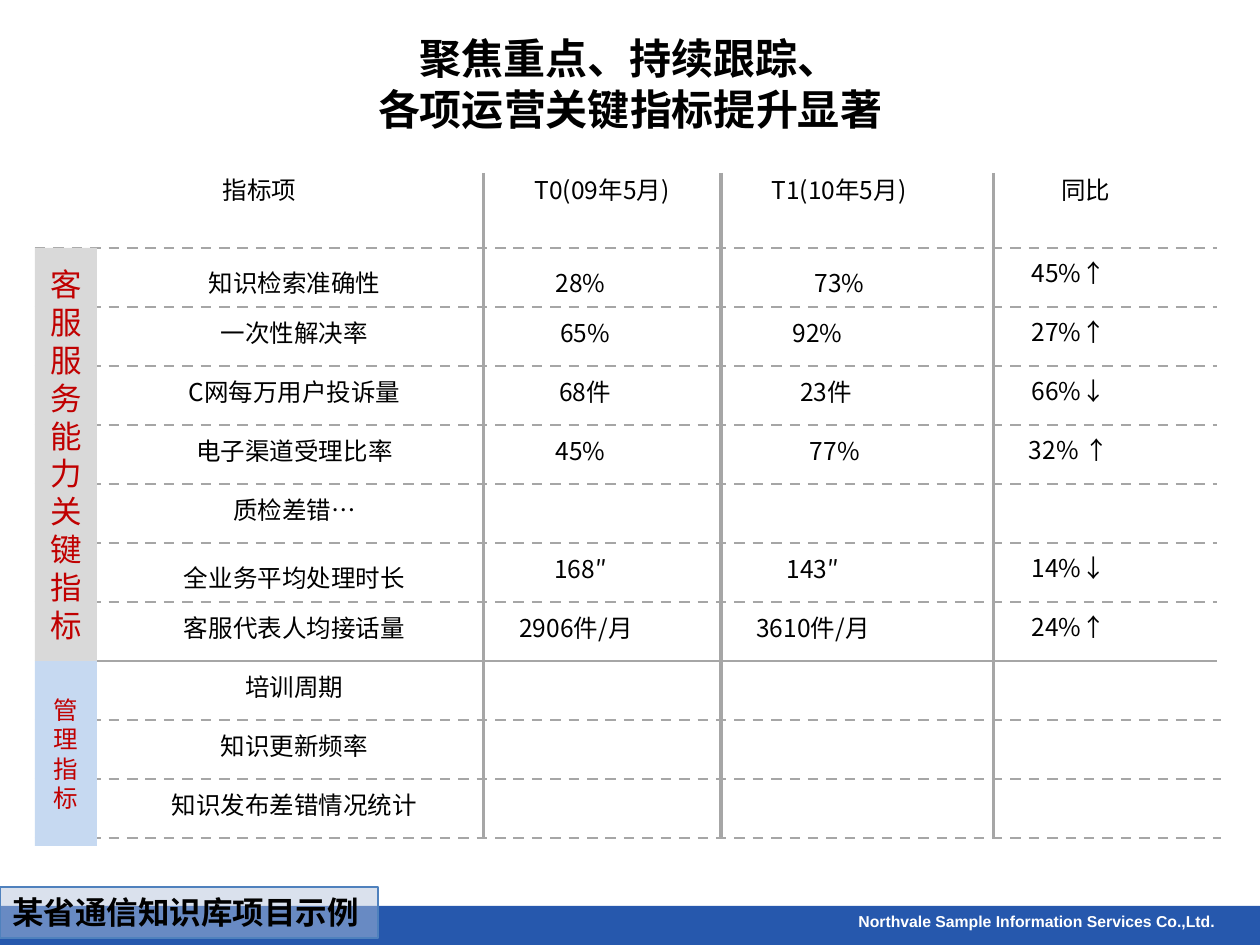
from lxml import etree
from pptx import Presentation
from pptx.dml.color import RGBColor
from pptx.enum.dml import MSO_LINE
from pptx.enum.shapes import MSO_CONNECTOR, MSO_SHAPE
from pptx.enum.text import MSO_ANCHOR, PP_ALIGN
from pptx.oxml.ns import qn
from pptx.util import Emu, Pt

PX = 914400 / 126
THEME = dict(font="Noto Sans CJK SC", footer_font="Arial",
             ink="000000", accent="C00000", rule="A6A6A6", white="FFFFFF",
             service="D9D9D9", manage="C6D9F1", footer="2658AD",
             tag="B2C1DB", tag_line="4F81BD",
             title=24, large=18, body=14, small=9)

# Content
TITLE = "聚焦重点、持续跟踪、\v各项运营关键指标提升显著"
FOOTER = "Northvale Sample Information Services Co.,Ltd."
TAG = "某省通信知识库项目示例"
HEADERS = [("指标项", 106, 307), ("T0(09年5月)", 501, 202),
           ("T1(10年5月)", 738, 202), ("同比", 985, 202)]  # text, left, width
# label, (T0, width), (T1, width), change
ROWS = [
    ("知识检索准确性", ("28%", 193), ("73%", 237), "45%↑"),
    ("一次性解决率", ("65%", 202), ("92%", 193), "27%↑"),
    ("C网每万用户投诉量", ("68件", 202), ("23件", 210), "66%↓"),
    ("电子渠道受理比率", ("45%", 193), ("77%", 228), "32% ↑"),
    ("质检差错…", None, None, None),
    ("全业务平均处理时长", ("168″", 193), ("143″", 184), "14%↓"),
    ("客服代表人均接话量", ("2906件/月", 184), ("3610件/月", 184), "24%↑"),
    ("培训周期", None, None, None),
    ("知识更新频率", None, None, None),
    ("知识发布差错情况统计", None, None, None),
]
SERVICE_ROWS = 7
LOOSE_ROW = 5  # label set with wider line spacing

# Grid
LEFT, RIGHT, HEAD, TOP, STEP = 35, 1217, 173, 248, 59
COLUMNS = [484, 721, 994]
BOTTOM = TOP + STEP * len(ROWS)
SPLIT = TOP + STEP * SERVICE_ROWS


def px(*values):
    return [Emu(round(v * PX)) for v in values]


def rgb(name):
    return RGBColor.from_string(THEME[name])


def write(s, text, size, color="ink", align=PP_ALIGN.CENTER, bold=False,
          font="font", anchor=MSO_ANCHOR.TOP, inset=6, spacing=None):
    tf = s.text_frame
    tf.word_wrap = True
    tf.vertical_anchor = anchor
    tf.margin_top = tf.margin_bottom = px(inset)[0]
    tf.text = text
    p = tf.paragraphs[0]
    p.alignment = align
    if spacing:
        p.line_spacing = spacing
    f = p.font
    f.size, f.bold, f.name = Pt(THEME[size]), bold, THEME[font]
    f.color.rgb = rgb(color)
    # East Asian face for Chinese characters
    ea = etree.SubElement(p._p.pPr.find(qn("a:defRPr")), qn("a:ea"))
    ea.set("typeface", THEME[font])


def label(text, x, y, w, h=43, size="body", **style):
    write(slide.shapes.add_textbox(*px(x, y, w, h)), text, size, **style)


def rect(x, y, w, h, fill):
    s = slide.shapes.add_shape(MSO_SHAPE.RECTANGLE, *px(x, y, w, h))
    s.shadow.inherit = False
    s.fill.solid()
    s.fill.fore_color.rgb = rgb(fill)
    s.line.fill.background()
    return s


def rule(x1, y1, x2, y2, width, dashed=False):
    s = slide.shapes.add_connector(MSO_CONNECTOR.STRAIGHT, *px(x1, y1, x2, y2))
    s.line.color.rgb = rgb("rule")
    s.line.width = Pt(width)
    if dashed:
        s.line.dash_style = MSO_LINE.DASH
    etree.SubElement(s._element.spPr, qn("a:effectLst"))


prs = Presentation()
prs.slide_width, prs.slide_height = px(1260, 945)
slide = prs.slides.add_slide(prs.slide_layouts[5])

# Footer
rect(0, 906, 1260, 39, "footer")
label(FOOTER, 552, 906, 675, 39, "small", color="white", bold=True,
      align=PP_ALIGN.RIGHT, font="footer_font")

# Grid lines
for i in range(len(ROWS) + 1):
    y = TOP + STEP * i
    end = RIGHT + 4 if i > SERVICE_ROWS else RIGHT
    rule(LEFT, y, end, y, 1.5, dashed=i != SERVICE_ROWS)
for x in COLUMNS:
    rule(x, HEAD, x, BOTTOM, 1.75)

# Headers and rows
for text, x, w in HEADERS:
    label(text, x, HEAD, w, inset=2)
for i, (name, before, after, change) in enumerate(ROWS):
    y = TOP + STEP * i + (18 if i == 0 else 9)
    label(name, 141, y, 307, inset=2, spacing=1.3 if i == LOOSE_ROW else None)
    for x, cell in zip(COLUMNS, (before, after)):
        if cell:
            label(cell[0], x, y, cell[1], inset=2)
    if change:
        label(change, 968, y - (10 if i == 0 else 1), 202, inset=2)

# Category bars
for text, y, h, fill, size in [
        ("客服服务能力关键指标", TOP, SPLIT - TOP, "service", "large"),
        ("管理指标", SPLIT, 185, "manage", "body")]:
    write(rect(LEFT, y, 62, h, fill), text, size, color="accent",
          anchor=MSO_ANCHOR.MIDDLE)

# Title
title = slide.shapes.title
title.left, title.top, title.width, title.height = px(63, 39, 1134, 88)
write(title, TITLE, "title", bold=True, anchor=MSO_ANCHOR.MIDDLE)

# Translucent project tag
tag = rect(0, 887, 378, 51, "tag")
alpha = etree.SubElement(tag._element.spPr.find(".//" + qn("a:srgbClr")), qn("a:alpha"))
alpha.set("val", "48000")
tag.line.color.rgb = rgb("tag_line")
tag.line.width = Pt(0.75)
write(tag, TAG, "large", align=PP_ALIGN.LEFT, bold=True)

prs.save("out.pptx")
